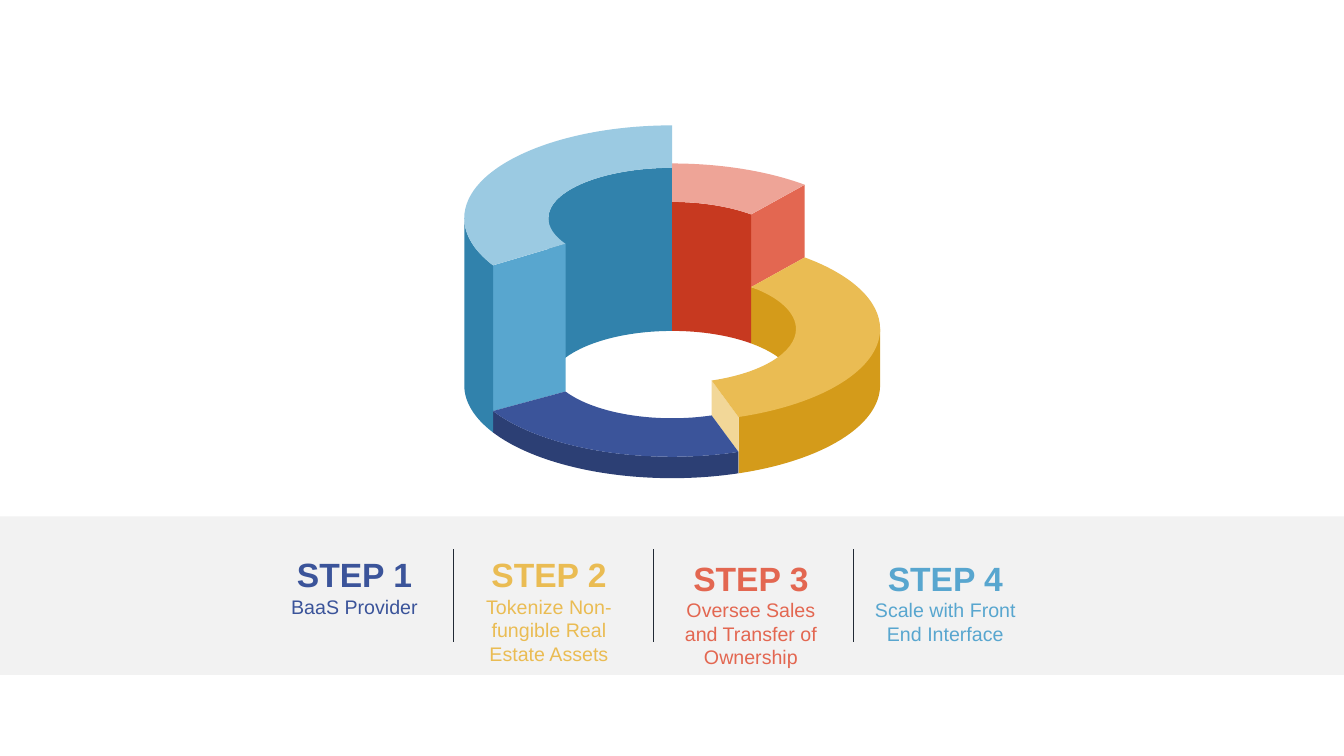
from math import cos, radians, sin, tan

from lxml import etree
from pptx import Presentation
from pptx import util as u
from pptx.dml.color import RGBColor
from pptx.enum import shapes, text
from pptx.oxml.ns import qn

WHITE_SMOKE = RGBColor(0xF2, 0xF2, 0xF2)
INK = RGBColor(0x22, 0x2A, 0x35)
NAVY = RGBColor(0x3B, 0x54, 0x9A)
NAVY_DARK = RGBColor(0x2C, 0x3F, 0x74)
GOLD = RGBColor(0xEA, 0xBC, 0x53)
GOLD_DARK = RGBColor(0xD4, 0x9B, 0x1A)
GOLD_PALE = RGBColor(0xF2, 0xD7, 0x98)
RED = RGBColor(0xE3, 0x67, 0x51)
RED_DARK = RGBColor(0xC7, 0x39, 0x20)
RED_PALE = RGBColor(0xEE, 0xA4, 0x97)
SKY = RGBColor(0x58, 0xA6, 0xCF)
SKY_DARK = RGBColor(0x31, 0x82, 0xAC)
SKY_PALE = RGBColor(0x9B, 0xCA, 0xE2)

# Ring geometry in centimetres; angles run clockwise from the right
CENTRE_X, BASE_Y = 16.94, 9.71
OUTER, INNER, SKY_INNER = (5.24, 2.34), (3.12, 1.37), (3.12, 1.27)
SKY_Y, RED_Y, GOLD_Y, NAVY_Y = 5.5, 6.46, 8.29, 9.17
GOLD_START, NAVY_START, SKY_START, RED_START = -50.4, 71.4, 149.5, 270
RED_END = GOLD_START + 360

STEPS = [  # left, top, height, colour, title, detail
    (6.66, 13.84, 1.88, NAVY, "STEP 1", "BaaS Provider"),
    (11.56, 13.84, 3.07, GOLD, "STEP 2", "Tokenize Non-fungible Real Estate Assets"),
    (16.65, 13.93, 3.07, RED, "STEP 3", "Oversee Sales and Transfer of Ownership"),
    (21.55, 13.93, 2.49, SKY, "STEP 4", "Scale with Front End Interface"),
]


def set_values(target, values):
    for name, value in values.items():
        setattr(target, name, value)


def paint(shape, colour):
    shape.shadow.inherit = False
    shape.fill.solid()
    shape.fill.fore_color.rgb = colour
    shape.line.fill.background()


def spot(radii, level, angle, lean=0):
    """Point on a flat ellipse, moved along its tangent by lean."""
    a = radians(angle)
    return (u.Cm(CENTRE_X + radii[0] * (cos(a) - lean * sin(a))),
            u.Cm(level + radii[1] * (sin(a) + lean * cos(a))))


def arc(radii, level, start, end):
    """Segments: the first point, then one Bezier curve per quadrant."""
    low, high = sorted((start, end))
    cuts = [a for a in range(-90, 361, 90) if low < a < high]
    stops = [start, *(cuts if start < end else cuts[::-1]), end]
    segments = [[spot(radii, level, start)]]
    for a, b in zip(stops, stops[1:]):
        lean = 4 / 3 * tan(radians(b - a) / 4)
        segments.append([spot(radii, level, a, lean), spot(radii, level, b, -lean),
                         spot(radii, level, b)])
    return segments


def add_outline(group, segments, colour):
    points = [point for segment in segments for point in segment]
    builder = group.shapes.build_freeform(*points[0], scale=1.0)
    builder.add_line_segments(points[1:], close=True)
    shape = builder.convert_to_shape()
    # Turn each run of three points into a curve
    lines = iter(list(shape._element.iter(qn("a:lnTo"))))
    for segment in segments[1:]:
        line = next(lines)
        if len(segment) == 3:
            line.tag = qn("a:cubicBezTo")
            for extra in (next(lines), next(lines)):
                line.append(extra[0])
                extra.getparent().remove(extra)
    paint(shape, colour)


def add_wall(group, radii, level, start, end, colour, base_radii=None):
    """Curved side from a slice's top edge down to the base."""
    foot = arc(base_radii or radii, BASE_Y, end, start)
    add_outline(group, arc(radii, level, start, end) + foot, colour)


def add_gold_wall(group):
    """Inner and outer sides in one outline, joined beneath the gold top."""
    add_outline(group, [[spot(OUTER, GOLD_Y, 0)], [spot(INNER, GOLD_Y, GOLD_START)],
                        *arc(INNER, BASE_Y, GOLD_START, 0),
                        [spot(OUTER, GOLD_Y, NAVY_START)],
                        *arc(OUTER, BASE_Y, NAVY_START, 0)], GOLD_DARK)


def add_cut(group, angle, upper, lower, colour, inner=INNER):
    """Flat end of a slice, down to the top of its neighbour."""
    corners = [(inner, upper), (OUTER, upper), (OUTER, lower), (INNER, lower)]
    add_outline(group, [[spot(radii, y, angle)] for radii, y in corners], colour)


def add_top(group, level, start, end, colour, inner=INNER):
    edges = arc(OUTER, level, start, end) + arc(inner, level, end, start)
    add_outline(group, edges, colour)


def add_ring(page):
    ring = page.shapes.add_group_shape()
    # Cut faces and walls
    add_cut(ring, GOLD_START, RED_Y, GOLD_Y, RED)
    add_gold_wall(ring)
    add_cut(ring, NAVY_START, GOLD_Y, NAVY_Y, GOLD_PALE)
    add_wall(ring, SKY_INNER, SKY_Y, 180, RED_START, SKY_DARK, INNER)
    add_cut(ring, SKY_START, SKY_Y, NAVY_Y, SKY, SKY_INNER)
    add_wall(ring, OUTER, NAVY_Y, NAVY_START, SKY_START, NAVY_DARK)
    add_wall(ring, OUTER, SKY_Y, SKY_START, 180, SKY_DARK)
    add_wall(ring, INNER, RED_Y, RED_START, RED_END, RED_DARK)
    # Top faces
    add_top(ring, RED_Y, RED_START, RED_END, RED_PALE)
    add_top(ring, GOLD_Y, GOLD_START, NAVY_START, GOLD)
    add_top(ring, NAVY_Y, NAVY_START, SKY_START, NAVY)
    add_top(ring, SKY_Y, SKY_START, RED_START, SKY_PALE, SKY_INNER)


def add_band(page, width):
    band = page.shapes.add_shape(shapes.MSO_SHAPE.RECTANGLE, 0, u.Cm(13.01), width, u.Cm(4))
    paint(band, WHITE_SMOKE)


def add_divider(page, x):
    line = page.shapes.add_connector(shapes.MSO_CONNECTOR.STRAIGHT,
                                     u.Cm(x), u.Cm(13.84), u.Cm(x), u.Cm(16.18))
    line.line.color.rgb = INK
    line.line.width = u.Pt(0.25)
    etree.SubElement(line._element.spPr, qn("a:effectLst"))


def add_step(page, left, top, height, colour, title, detail):
    box = page.shapes.add_textbox(u.Cm(left), u.Cm(top), u.Cm(4.55), u.Cm(height))
    frame = box.text_frame
    set_values(frame, {"word_wrap": True,
                       "auto_size": text.MSO_AUTO_SIZE.SHAPE_TO_FIT_TEXT})
    for para, words, size, bold in ((frame.paragraphs[0], title, 24, True),
                                    (frame.add_paragraph(), detail, 14, False)):
        para.alignment = text.PP_ALIGN.CENTER
        span = para.add_run()
        span.text = words
        set_values(span.font, {"name": "Arial", "size": u.Pt(size), "bold": bold})
        span.font.color.rgb = colour


def main():
    deck = Presentation()
    set_values(deck, {"slide_width": u.Cm(33.87), "slide_height": u.Cm(19.05)})
    page = deck.slides.add_slide(deck.slide_layouts[6])
    add_band(page, deck.slide_width)
    add_ring(page)
    for i in range(3):
        add_divider(page, 11.41 + 5.04 * i)
    for step in STEPS:
        add_step(page, *step)
    deck.save("out.pptx")


if __name__ == "__main__":
    main()
